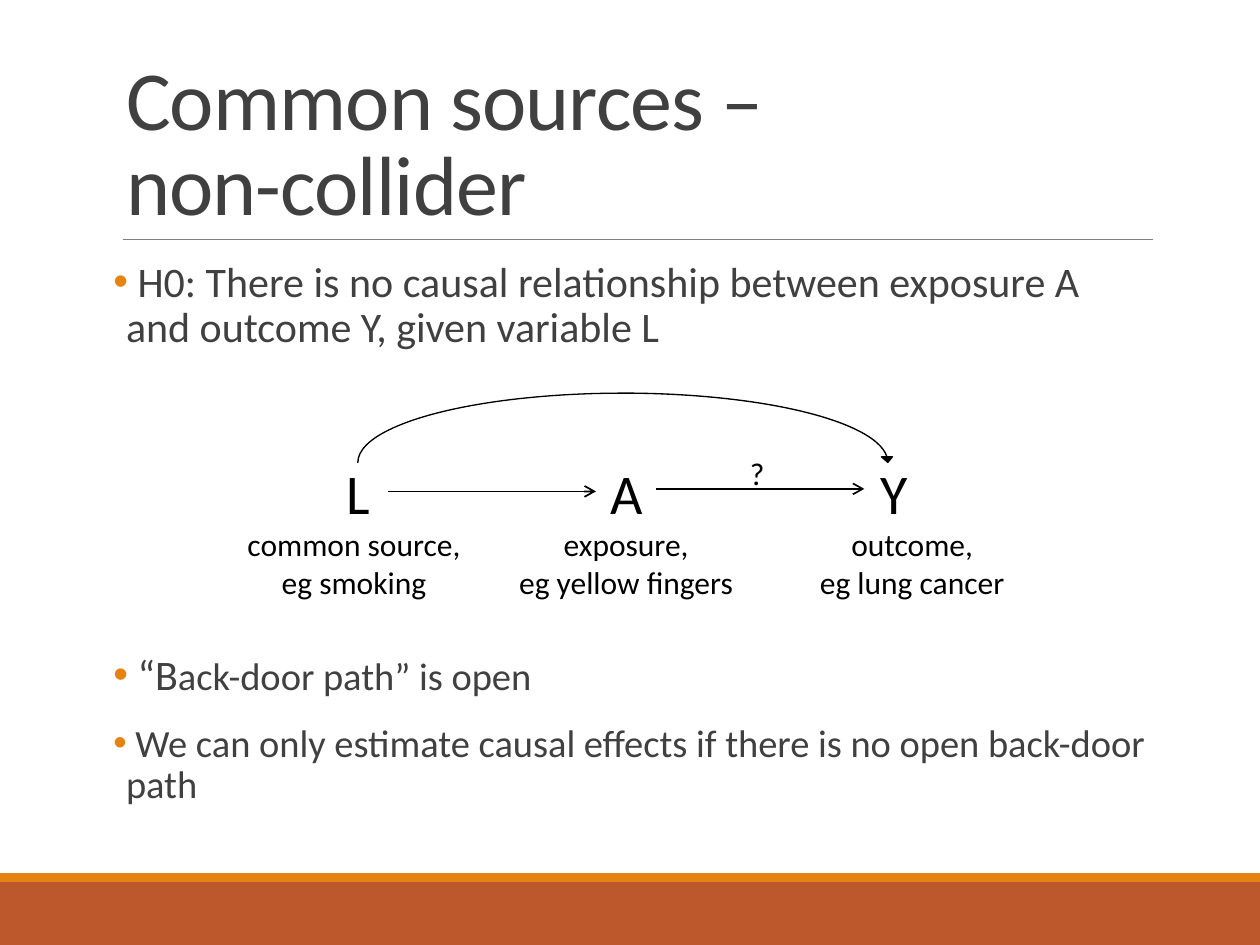
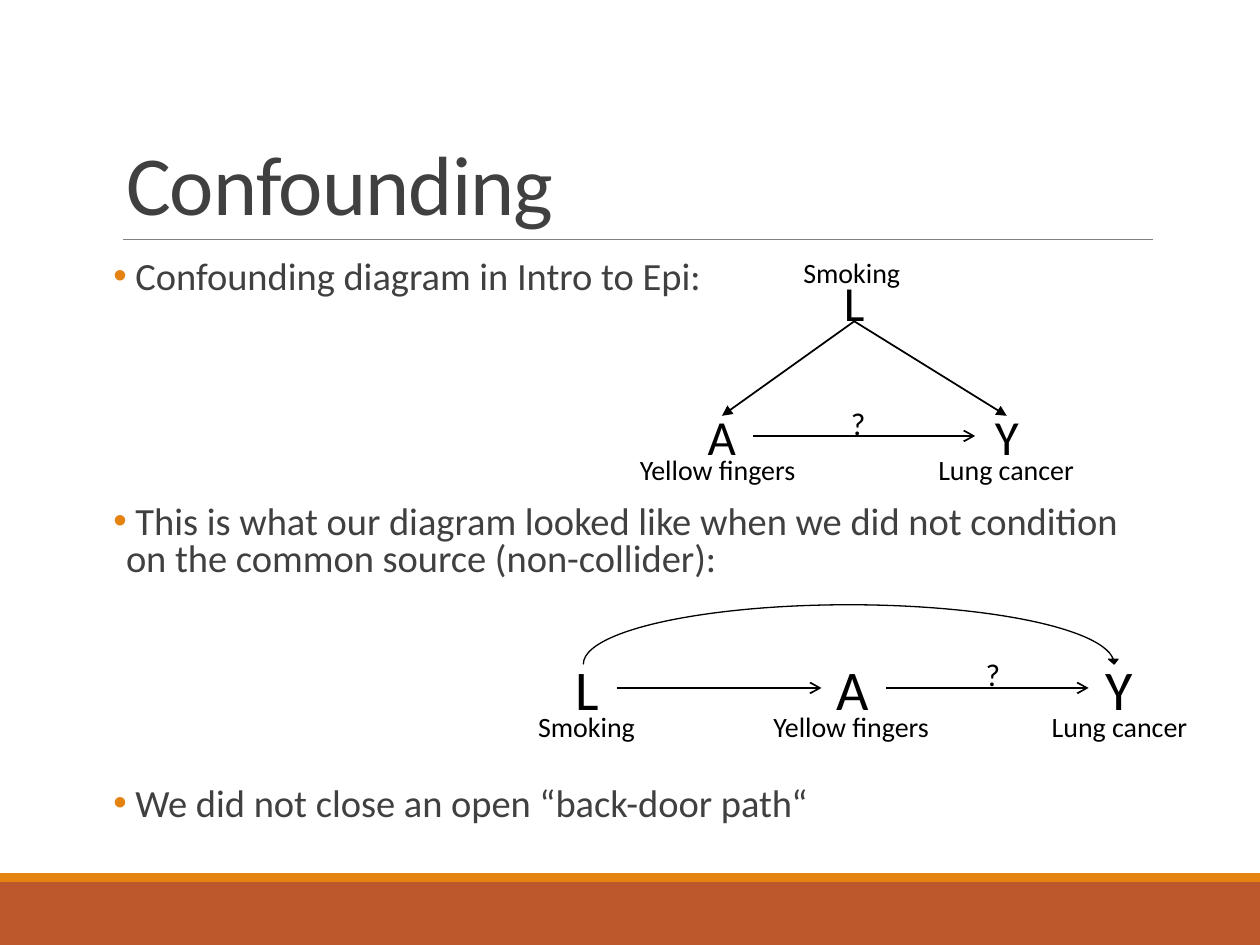
from dataclasses import dataclass

from lxml import etree
from pptx import Presentation
from pptx.dml.color import RGBColor
from pptx.enum.shapes import MSO_CONNECTOR, MSO_SHAPE
from pptx.enum.text import MSO_ANCHOR, MSO_AUTO_SIZE, PP_ALIGN
from pptx.oxml.ns import qn
from pptx.util import Pt

PX = 9144
STRAIGHT = MSO_CONNECTOR.STRAIGHT
RECTANGLE = MSO_SHAPE.RECTANGLE
ROUNDED = MSO_SHAPE.ROUNDED_RECTANGLE
CURVED_ARROW = MSO_SHAPE.CURVED_DOWN_ARROW
MIDDLE, BOTTOM = MSO_ANCHOR.MIDDLE, MSO_ANCHOR.BOTTOM
LEFT, CENTER = PP_ALIGN.LEFT, PP_ALIGN.CENTER
FIXED = MSO_AUTO_SIZE.NONE


@dataclass(frozen=True)
class Theme:
    font: str = "Calibri"
    bullet_font: str = "Arial"
    ink: str = "000000"
    text: str = "404040"
    rule: str = "808080"
    accent: str = "E48312"
    band: str = "BD582C"
    title: int = 48
    lead: int = 24
    body: int = 22
    node: int = 32
    small_node: int = 28
    caption: int = 18
    label: int = 16


THEME = Theme()


def px(*lengths):
    return [length * PX for length in lengths]


def color(value):
    return RGBColor.from_string(value)


def format_span(span, size, ink):
    span.font.name = THEME.font
    span.font.size = Pt(size)
    span.font.color.rgb = color(ink)


def add_plain(slide, preset, bounds):
    shape = slide.shapes.add_shape(preset, *px(*bounds))
    shape.shadow.inherit = False
    shape.fill.background()
    shape.line.fill.background()
    return shape


def add_filled(slide, preset, bounds, fill):
    shape = add_plain(slide, preset, bounds)
    shape.fill.solid()
    shape.fill.fore_color.rgb = color(fill)
    return shape


def add_line(slide, start, end, ink=THEME.ink, width=1, head=None):
    line = slide.shapes.add_connector(STRAIGHT, *px(*start, *end))
    line.line.color.rgb = color(ink)
    line.line.width = Pt(width)
    properties = line._element.spPr
    if head:
        outline = properties.find(qn("a:ln"))
        etree.SubElement(outline, qn("a:tailEnd")).set("type", head)
    etree.SubElement(properties, qn("a:effectLst"))


def add_arc(slide, bounds):
    arc = add_filled(slide, CURVED_ARROW, bounds, THEME.ink)
    arc.line.color.rgb = color(THEME.ink)
    arc.line.width = Pt(0.75)
    for index, value in enumerate((0, 0.159, 0.081)):
        arc.adjustments[index] = value


def write_centered(box, text, size):
    frame = box.text_frame
    frame.word_wrap = True
    frame.vertical_anchor = MIDDLE
    frame.margin_left = frame.margin_right = 0
    frame.margin_top = frame.margin_bottom = 0
    frame.text = text
    for para in frame.paragraphs:
        para.alignment = CENTER
        for span in para.runs:
            format_span(span, size, THEME.ink)


def add_label(slide, text, bounds, size):
    write_centered(slide.shapes.add_textbox(*px(*bounds)), text, size)


def add_node(slide, text, bounds, size):
    write_centered(add_plain(slide, ROUNDED, bounds), text, size)


def add_row(slide, add_item, places, top, width, height, size):
    for text, left in places:
        add_item(slide, text, (left, top, width, height), size)


def add_question(slide, start, end, y, mark_left, mark_top):
    add_line(slide, (start, y), (end, y), head="arrow")
    add_label(slide, "?", (mark_left, mark_top, 32, 40), THEME.caption)


def place(placeholder, bounds):
    placeholder.left, placeholder.top, placeholder.width, placeholder.height = px(*bounds)
    placeholder.text_frame.auto_size = FIXED
    placeholder.text_frame.word_wrap = True


def fill_title(slide, text):
    title = slide.shapes.title
    place(title, (90, 31, 825, 159))
    frame = title.text_frame
    frame.vertical_anchor = BOTTOM
    frame.text = text
    para = frame.paragraphs[0]
    para.alignment = LEFT
    para.line_spacing = 0.85
    for span in para.runs:
        format_span(span, THEME.title, THEME.text)
        span._r.get_or_add_rPr().set("spc", "-50")


def add_bullet(para):
    properties = para._p.get_or_add_pPr()
    properties.set("marL", str(10 * PX))
    properties.set("indent", str(-10 * PX))
    bullet_color = etree.SubElement(properties, qn("a:buClr"))
    etree.SubElement(bullet_color, qn("a:srgbClr")).set("val", THEME.accent)
    etree.SubElement(properties, qn("a:buFont")).set("typeface", THEME.bullet_font)
    etree.SubElement(properties, qn("a:buChar")).set("char", "•")


def fill_body(slide, items, height, spacing):
    body = slide.placeholders[1]
    place(body, (90, 202, 825, height))
    frame = body.text_frame
    frame.margin_left = frame.margin_right = 0
    for index, (space_before, pieces) in enumerate(items):
        para = frame.add_paragraph() if index else frame.paragraphs[0]
        para.line_spacing = spacing
        para.space_before = Pt(space_before)
        para.space_after = Pt(2)
        add_bullet(para)
        for text, size in pieces:
            span = para.add_run()
            span.text = text
            format_span(span, size, THEME.text)


def start_slide(deck, title):
    slide = deck.slides.add_slide(deck.slide_layouts[1])
    add_filled(slide, RECTANGLE, (0, 700, 1000, 50), THEME.band)
    add_filled(slide, RECTANGLE, (0, 693, 1000, 7), THEME.accent)
    add_line(slide, (98, 190), (915, 190), THEME.rule, 0.5)
    fill_title(slide, title)
    return slide


def build_common_sources(deck):
    slide = start_slide(deck, "Common sources –\vnon-collider")
    fill_body(slide, [
        (12, [(" H0: There is no causal relationship between exposure A "
               "and outcome Y, given variable L", THEME.lead)]),
        (171, [(" “B", THEME.lead), ("ack-door path” is open", THEME.body)]),
        (12, [(" We can only estimate causal effects if there is no open "
               "back-door path", THEME.body)]),
    ], 440, 0.9)
    nodes = [("L", 261), ("A", 474), ("Y", 686)]
    add_row(slide, add_node, nodes, 367, 47, 47, THEME.node)
    captions = [("common source,\neg smoking", 147),
                ("exposure,\neg yellow fingers", 363),
                ("outcome,\neg lung cancer", 590)]
    add_row(slide, add_node, captions, 407, 268, 79, THEME.caption)
    add_line(slide, (308, 390), (473, 390), head="arrow")
    add_question(slide, 521, 686, 388, 585, 355)
    add_arc(slide, (284, 312, 425, 55))


def draw_triangle(slide):
    add_label(slide, "L", (653, 224, 50, 31), THEME.small_node)
    feet = [("A", 548), ("Y", 774)]
    add_row(slide, add_node, feet, 330, 50, 32, THEME.small_node)
    add_label(slide, "Smoking", (627, 198, 98, 37), THEME.label)
    names = [("Yellow fingers", 497), ("Lung cancer", 726)]
    add_row(slide, add_label, names, 354, 145, 37, THEME.label)
    for foot in (573, 799):
        add_line(slide, (678, 255), (foot, 330), head="triangle")
    add_question(slide, 598, 774, 346, 665, 316)


def draw_chain(slide):
    add_label(slide, "L", (443, 526, 47, 40), THEME.node)
    nodes = [("A", 653), ("Y", 865)]
    add_row(slide, add_node, nodes, 526, 47, 40, THEME.node)
    names = [("Smoking", 393), ("Yellow fingers", 603), ("Lung cancer", 816)]
    add_row(slide, add_label, names, 558, 145, 37, THEME.label)
    add_line(slide, (490, 546), (652, 546), head="arrow")
    add_question(slide, 703, 864, 546, 772, 515)
    add_arc(slide, (463, 480, 425, 47))


def build_confounding(deck):
    slide = start_slide(deck, "Confounding")
    fill_body(slide, [
        (12, [(" Confounding diagram in Intro to Epi:", THEME.body)]),
        (117, [(" This is what our diagram looked like when we did not "
                "condition on the common source (non-collider):", THEME.body)]),
        (117, [(" We did not close an open “back-door path“", THEME.body)]),
    ], 472, 0.8)
    draw_triangle(slide)
    draw_chain(slide)


def main():
    deck = Presentation()
    deck.slide_width, deck.slide_height = px(1000, 750)
    build_common_sources(deck)
    build_confounding(deck)
    deck.save("out.pptx")


if __name__ == "__main__":
    main()
